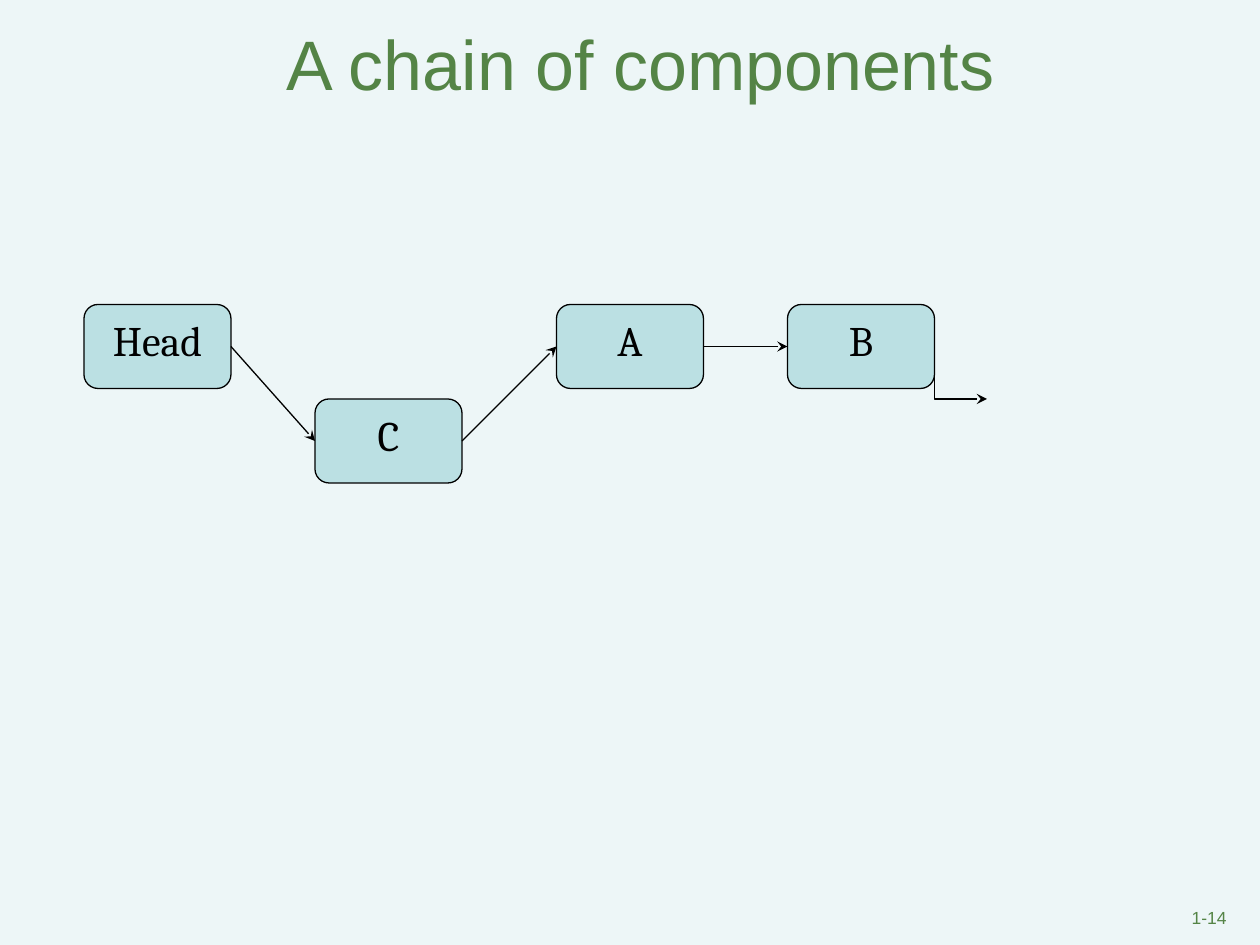
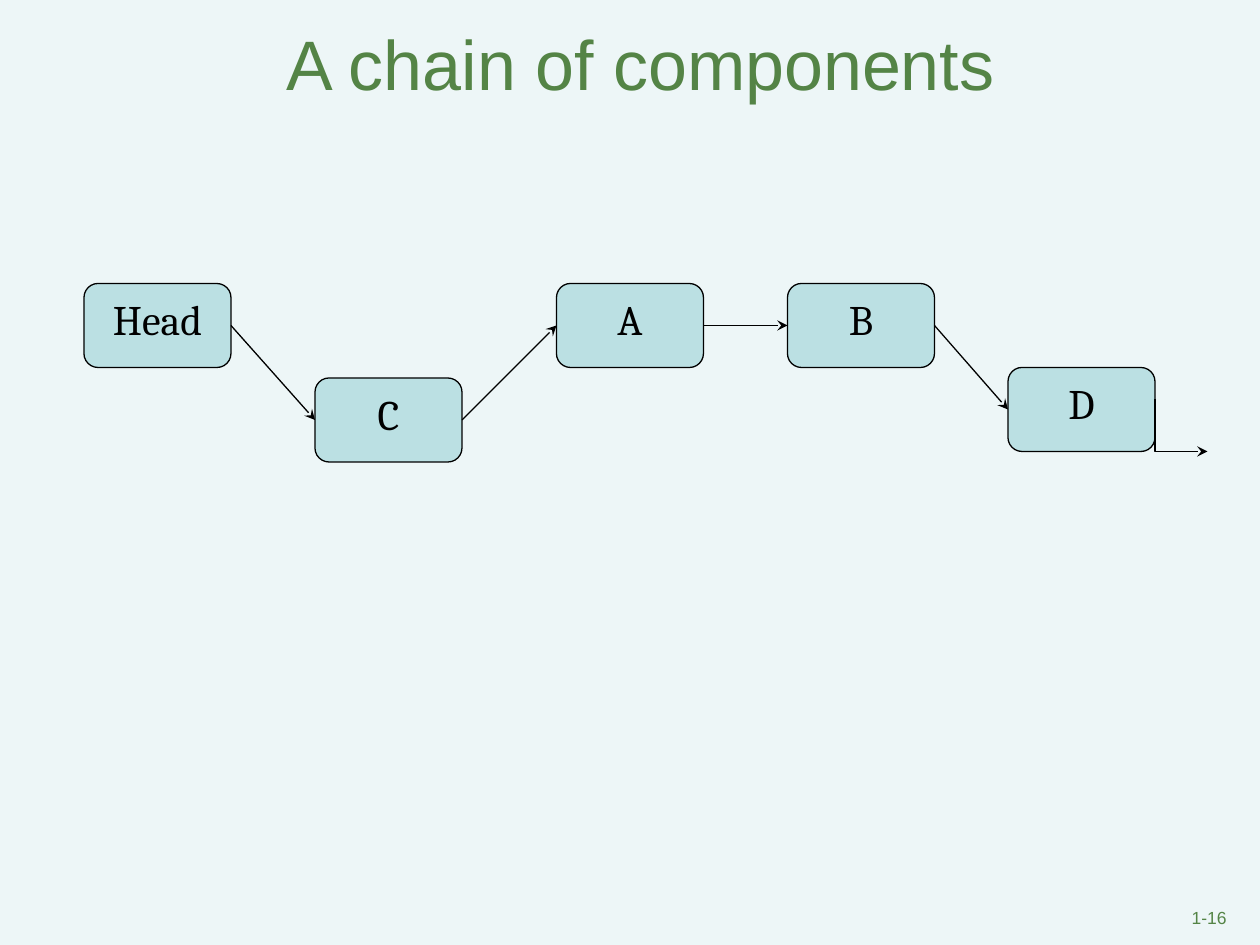
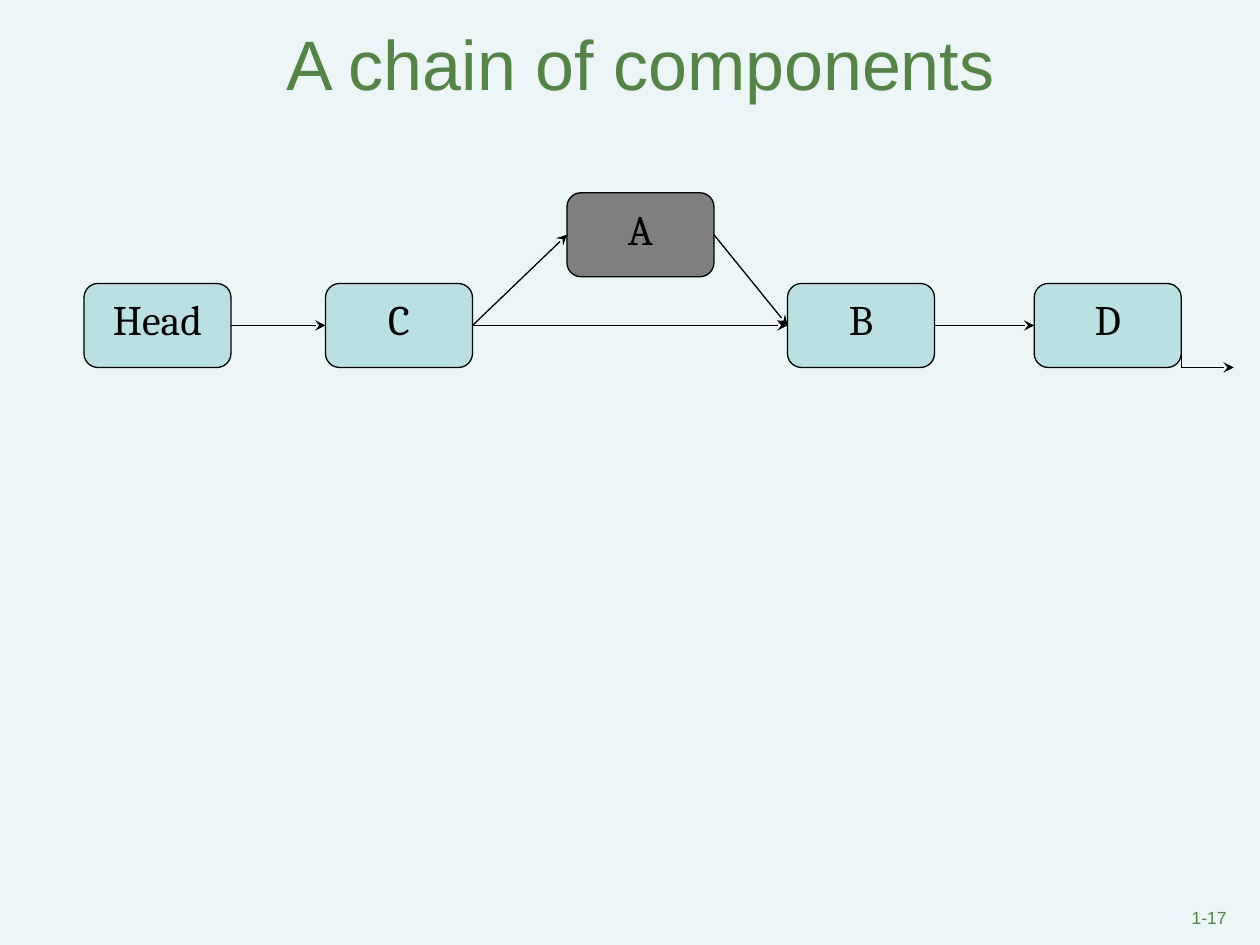
import pptx
import pptx.dml.color
import pptx.enum.shapes
import pptx.enum.text
import pptx.oxml
import pptx.oxml.ns
import pptx.util

Pt = pptx.util.Pt
qn = pptx.oxml.ns.qn
MSO_SHAPE = pptx.enum.shapes.MSO_SHAPE
MSO_CONNECTOR = pptx.enum.shapes.MSO_CONNECTOR
ANCHOR = pptx.enum.text.MSO_ANCHOR
ALIGN = pptx.enum.text.PP_ALIGN

COLORS = {
    "background": "EDF6F7",
    "heading": "548446",
    "active": "BBE0E3",
    "removed": "7F7F7F",
    "ink": "000000",
}
UNIT = pptx.util.Inches(1) / 12
COLS, ROWS = 120, 90
BOX_COLS, BOX_ROWS = 14, 8
BEND = 5
LEFT, RIGHT = 1, 3

TITLE = {"size": Pt(40), "name": "Arial", "color": "heading",
         "align": ALIGN.CENTER, "anchor": ANCHOR.MIDDLE}
NUMBER = {"size": Pt(10), "name": "Arial", "color": "heading",
          "align": ALIGN.RIGHT, "anchor": ANCHOR.BOTTOM}
LABEL = {"size": Pt(24), "name": "Cambria", "color": "ink",
         "align": ALIGN.CENTER, "anchor": ANCHOR.TOP}

CHAINS = [
    {
        "number": "1-14",
        "boxes": {"Head": (8, 29), "A": (53, 29), "B": (75, 29), "C": (30, 38)},
        "links": ["Head C", "C A", "A B"],
        "bend": (89, 33),
    },
    {
        "number": "1-16",
        "boxes": {"Head": (8, 27), "A": (53, 27), "B": (75, 27), "C": (30, 36),
                  "D": (96, 35)},
        "links": ["Head C", "C A", "A B", "B D"],
        "bend": (110, 38),
    },
    {
        "number": "1-17",
        "boxes": {"Head": (8, 27), "A": (54, 18.36), "B": (75, 27), "C": (31, 27),
                  "D": (98.5, 27)},
        "links": ["Head C", "C A", "A B", "C B", "B D"],
        "bend": (112.5, 30),
        "removed": "A",
    },
]


def grid(*cells):
    return [round(c * UNIT) for c in cells]


def rgb(key):
    return pptx.dml.color.RGBColor.from_string(COLORS[key])


def set_text(sp, text, style):
    tf = sp.text_frame
    frame = {"word_wrap": True, "auto_size": pptx.enum.text.MSO_AUTO_SIZE.NONE,
             "vertical_anchor": style["anchor"],
             "margin_left": Pt(7.2), "margin_right": Pt(7.2),
             "margin_top": Pt(3.6), "margin_bottom": Pt(3.6)}
    for name, value in frame.items():
        setattr(tf, name, value)
    p = tf.paragraphs[0]
    p.alignment = style["align"]
    r = p.add_run()
    r.text = text
    for name in ("size", "name"):
        setattr(r.font, name, style[name])
    r.font.color.rgb = rgb(style["color"])


def set_line(sp):
    sp.line.color.rgb = rgb("ink")
    sp.line.width = Pt(0.75)


def add_title(s, text):
    sp = s.shapes.title
    sp.left, sp.top, sp.width, sp.height = grid(4, 3, 114, 6)
    set_text(sp, text, TITLE)


def add_number(s, text):
    sp = s.shapes.add_textbox(*grid(93, 85, 25, 4))
    set_text(sp, text, NUMBER)


def add_box(s, text, col, row, fill):
    sp = s.shapes.add_shape(MSO_SHAPE.ROUNDED_RECTANGLE,
                            *grid(col, row, BOX_COLS, BOX_ROWS))
    sp.adjustments[0] = 0.167
    sp.shadow.inherit = False
    sp.fill.solid()
    sp.fill.fore_color.rgb = rgb(fill)
    set_line(sp)
    set_text(sp, text, LABEL)
    return sp


def add_arrow(s, kind, ends):
    sp = s.shapes.add_connector(kind, *ends)
    set_line(sp)
    ln = sp.line._get_or_add_ln()
    ln.append(pptx.oxml.parse_xml(
        f'<a:tailEnd {pptx.oxml.ns.nsdecls("a")} type="stealth"/>'))
    ln.getparent().append(pptx.oxml.parse_xml(
        f'<a:effectLst {pptx.oxml.ns.nsdecls("a")}/>'))
    return sp


def add_link(s, begin, end):
    sp = add_arrow(s, MSO_CONNECTOR.STRAIGHT, (0, 0, 0, 0))
    sp.begin_connect(begin, RIGHT)
    sp.end_connect(end, LEFT)


def add_bend(s, col, row):
    sp = add_arrow(s, MSO_CONNECTOR.ELBOW, grid(col, row, col + BEND, row + BEND))
    sp.element.find(".//" + qn("a:prstGeom")).set("prst", "bentConnector2")
    xfrm = sp.element.find(".//" + qn("a:xfrm"))
    for name, value in {"rot": "16200000", "flipH": "1"}.items():
        xfrm.set(name, value)


def add_chain(prs, chain):
    s = prs.slides.add_slide(prs.slide_layouts[5])
    add_title(s, "A chain of components")
    add_number(s, chain["number"])
    boxes = {}
    for name, (col, row) in chain["boxes"].items():
        fill = "removed" if name == chain.get("removed") else "active"
        boxes[name] = add_box(s, name, col, row, fill)
    for link in chain["links"]:
        begin, end = link.split()
        add_link(s, boxes[begin], boxes[end])
    add_bend(s, *chain["bend"])


def main():
    prs = pptx.Presentation()
    prs.slide_width, prs.slide_height = grid(COLS, ROWS)
    fill = prs.slide_master.background.fill
    fill.solid()
    fill.fore_color.rgb = rgb("background")
    for chain in CHAINS:
        add_chain(prs, chain)
    prs.save("out.pptx")


if __name__ == "__main__":
    main()
